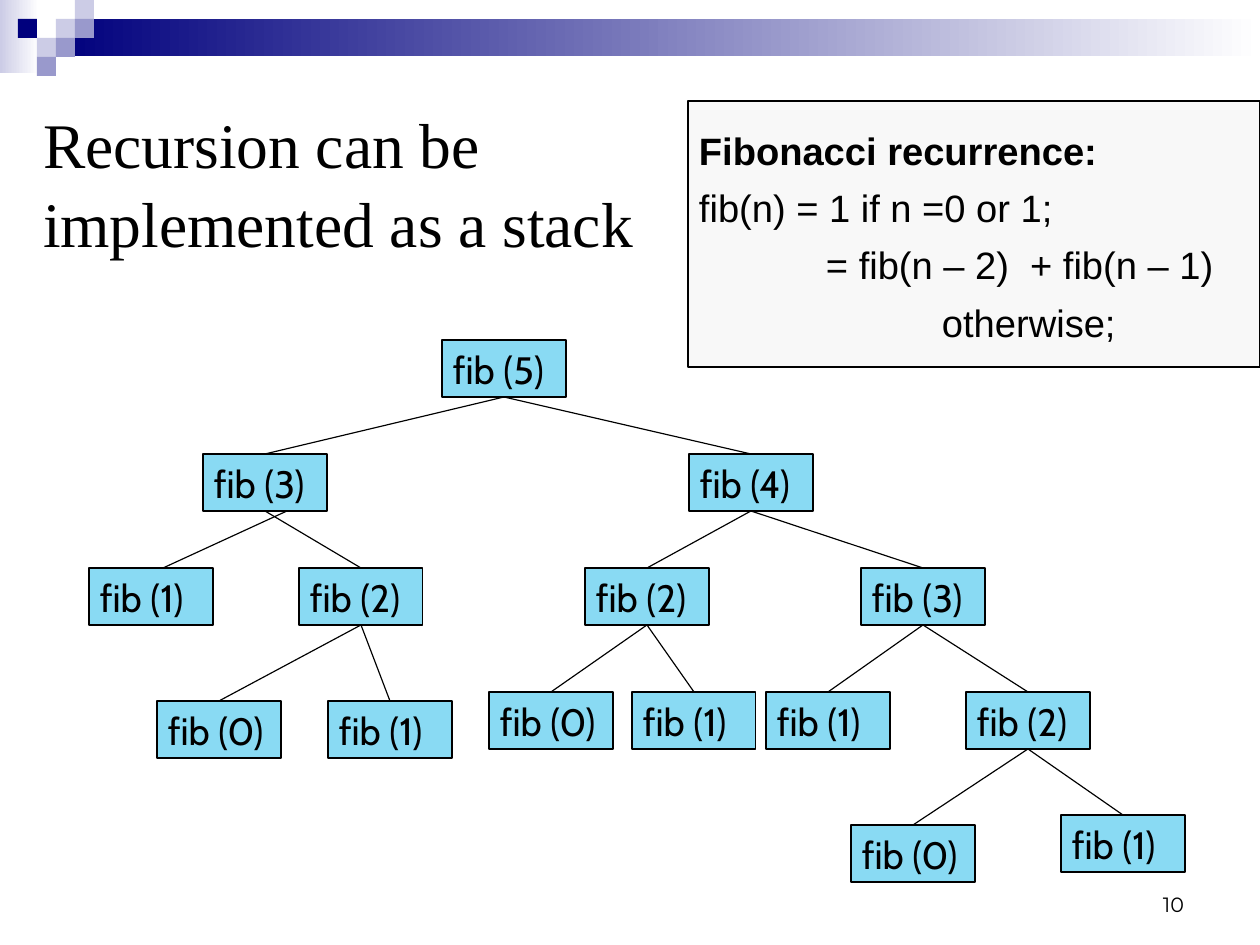
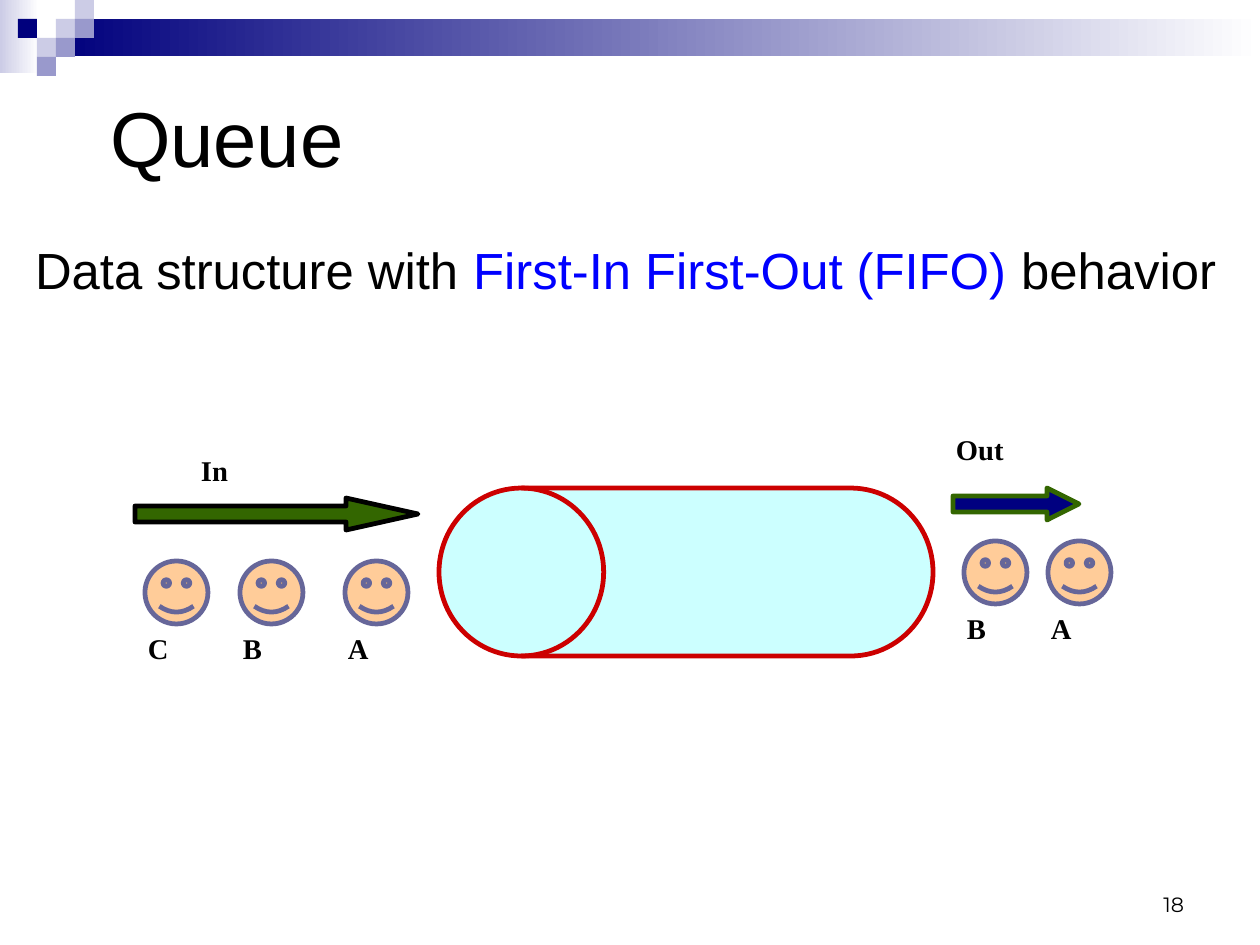
from lxml import etree
from pptx import Presentation
from pptx.dml.color import RGBColor
from pptx.enum.shapes import MSO_CONNECTOR, MSO_SHAPE
from pptx.enum.text import MSO_ANCHOR, MSO_AUTO_SIZE, PP_ALIGN
from pptx.oxml.ns import qn
from pptx.util import Pt

PX = 8000
RECTANGLE = MSO_SHAPE.RECTANGLE
DRUM = MSO_SHAPE.FLOWCHART_DIRECT_ACCESS_STORAGE
FACE = MSO_SHAPE.SMILEY_FACE
ARROW = MSO_SHAPE.RIGHT_ARROW
STRAIGHT = MSO_CONNECTOR.STRAIGHT
LEFT, RIGHT = PP_ALIGN.LEFT, PP_ALIGN.RIGHT
TOP, MIDDLE, BOTTOM = MSO_ANCHOR.TOP, MSO_ANCHOR.MIDDLE, MSO_ANCHOR.BOTTOM
NO_FIT = MSO_AUTO_SIZE.NONE

BLACK = RGBColor(0x00, 0x00, 0x00)
WHITE = RGBColor(0xFF, 0xFF, 0xFF)
NAVY = RGBColor(0x00, 0x00, 0x7D)
LILAC = RGBColor(0xCC, 0xCC, 0xE6)
VIOLET = RGBColor(0x99, 0x99, 0xCC)
NODE_BLUE = RGBColor(0x89, 0xDA, 0xF3)
PANEL_GREY = RGBColor(0xF8, 0xF8, 0xF8)
ACCENT_BLUE = RGBColor(0x00, 0x00, 0xFF)
PALE_CYAN = RGBColor(0xCC, 0xFF, 0xFF)
RED = RGBColor(0xCC, 0x00, 0x00)
PEACH = RGBColor(0xFF, 0xCC, 0x99)
SLATE = RGBColor(0x66, 0x66, 0x99)
GREEN = RGBColor(0x33, 0x66, 0x00)
DEEP_BLUE = RGBColor(0x00, 0x00, 0x80)

SLIDE_SIZE = (1260, 945)
NUMBER_BOX = (903, 861, 294, 63)
INSETS = (13, 7, 13, 7)
NO_INSETS = (0, 0, 0, 0)

BANDS = [((0, 0, 39, 73), [LILAC, WHITE]), ((57, 19, 1203, 37), [NAVY, WHITE])]
CELL = 19
CHECKER_LEFT = 18
CHECKER = [
    (2, 1, LILAC), (3, 0, LILAC), (3, 1, VIOLET), (1, 2, LILAC),
    (0, 1, NAVY), (2, 2, VIOLET), (1, 3, VIOLET),
]

NODE_SIZE = (124, 57)
CALLS = {
    "root": (5, 442, 340, None),
    "left": (3, 203, 454, "root"),
    "right": (4, 689, 454, "root"),
    "left 1": (1, 89, 568, "left"),
    "left 2": (2, 299, 568, "left"),
    "left 2-0": (0, 157, 701, "left 2"),
    "left 2-1": (1, 328, 701, "left 2"),
    "right 2": (2, 585, 568, "right"),
    "right 3": (3, 861, 568, "right"),
    "right 2-0": (0, 489, 692, "right 2"),
    "right 2-1": (1, 632, 692, "right 2"),
    "right 3-1": (1, 766, 692, "right 3"),
    "right 3-2": (2, 966, 692, "right 3"),
    "right 3-2-0": (0, 851, 825, "right 3-2"),
    "right 3-2-1": (1, 1061, 815, "right 3-2"),
}
EDGE_SHIFTS = {"left 1": (22, 12)}

RECURRENCE_BOX = (688, 101, 572, 266)
RECURRENCE = [
    ("Fibonacci recurrence:", True, 0),
    ("fib(n) = 1 if n =0 or 1;", False, 0),
    ("= fib(n – 2)  + fib(n – 1)", False, 127),
    ("otherwise;", False, 243),
]

DEFINITION = [
    ("Data structure with ", BLACK),
    ("First-In First-Out (FIFO)", ACCENT_BLUE),
    (" behavior", BLACK),
]
PIPE = (439, 488, 494, 168)
ARROWS = [
    ("In", (188, 446), (135, 498, 283, 32), 2.25, GREEN, BLACK),
    ("Out", (943, 425), (953, 488, 126, 32), 1, DEEP_BLUE, GREEN),
]
FACE_SIZE = 63
PEOPLE = [
    ("C", 145, 561), ("B", 240, 561), ("A", 345, 561),
    ("B", 964, 541), ("A", 1048, 541),
]


def to_emu(lengths):
    return [length * PX for length in lengths]


def set_values(target, **values):
    for name, value in values.items():
        setattr(target, name, value)


def set_frame(shape, insets=INSETS, anchor=TOP):
    left, top, right, bottom = to_emu(insets)
    set_values(
        shape.text_frame, margin_left=left, margin_top=top, margin_right=right,
        margin_bottom=bottom, vertical_anchor=anchor, word_wrap=True, auto_size=NO_FIT,
    )
    return shape.text_frame


def write(paragraph, text, font, size, color=BLACK, bold=False, align=LEFT):
    run = paragraph.add_run()
    run.text = text
    set_values(run.font, name=font, size=Pt(size), bold=bold)
    run.font.color.rgb = color
    paragraph.alignment = align


def add_shape(slide, kind, box, fill, line=None, width=0.75):
    shape = slide.shapes.add_shape(kind, *to_emu(box))
    shape.shadow.inherit = False
    if isinstance(fill, list):
        shape.fill.gradient()
        shape.fill.gradient_angle = 0
        for stop, color in zip(shape.fill.gradient_stops, fill):
            stop.color.rgb = color
    else:
        shape.fill.solid()
        shape.fill.fore_color.rgb = fill
    if line is None:
        shape.line.fill.background()
    else:
        shape.line.color.rgb = line
        shape.line.width = Pt(width)
    return shape


def add_text(slide, box, runs, font, size, bold=False, align=LEFT, insets=INSETS, anchor=TOP):
    frame = set_frame(slide.shapes.add_textbox(*to_emu(box)), insets, anchor)
    for text, color in runs:
        write(frame.paragraphs[0], text, font, size, color, bold, align)


def add_slide(presentation, title, box, font, size, anchor, number):
    slide = presentation.slides.add_slide(presentation.slide_layouts[5])
    left, top, width, height = to_emu(box)
    set_values(slide.shapes.title, left=left, top=top, width=width, height=height)
    paragraph = set_frame(slide.shapes.title, anchor=anchor).paragraphs[0]
    write(paragraph, title, font, size)
    paragraph.line_spacing = 1.04
    add_text(slide, NUMBER_BOX, [(number, BLACK)], "Montserrat", 13, align=RIGHT, anchor=BOTTOM)
    return slide


def decorate_master(presentation, slide):
    squares = [
        ((CHECKER_LEFT + column * CELL, row * CELL, CELL, CELL), color)
        for column, row, color in CHECKER
    ]
    tree = presentation.slide_master.shapes.element
    for shape_id, (box, fill) in enumerate(BANDS + squares, 100):
        element = add_shape(slide, RECTANGLE, box, fill).element
        element.nvSpPr.cNvPr.set("id", str(shape_id))
        tree.append(element)


def add_edge(slide, parent, child, shifts):
    start_shift, end_shift = to_emu(shifts)
    connector = slide.shapes.add_connector(
        STRAIGHT,
        parent.left + parent.width // 2 + start_shift, parent.top + parent.height,
        child.left + child.width // 2 + end_shift, child.top,
    )
    if not any(shifts):
        connector.begin_connect(parent, 2)
        connector.end_connect(child, 0)
    connector.line.color.rgb = BLACK
    connector.line.width = Pt(0.75)
    etree.SubElement(connector.element.spPr, qn("a:effectLst"))


def build_recursion(slide):
    nodes = {}
    for name, (value, left, top, parent) in CALLS.items():
        node = add_shape(slide, RECTANGLE, (left, top, *NODE_SIZE), NODE_BLUE, BLACK)
        frame = set_frame(node, (11, 6, 0, 6))
        write(frame.paragraphs[0], f"fib ({value})", "Cabin", 24)
        nodes[name] = node
        if parent:
            add_edge(slide, nodes[parent], node, EDGE_SHIFTS.get(name, (0, 0)))

    panel = add_shape(slide, RECTANGLE, RECURRENCE_BOX, PANEL_GREY, BLACK, 1)
    frame = set_frame(panel, (11, 4, 0, 0), MIDDLE)
    for index, (text, bold, indent) in enumerate(RECURRENCE):
        paragraph = frame.add_paragraph() if index else frame.paragraphs[0]
        write(paragraph, text, "Arial", 24, bold=bold)
        paragraph.space_before = Pt(7.4 if index else 0)
        panel.element.txBody.p_lst[index].get_or_add_pPr().set("marL", str(indent * PX))


def add_label(slide, text, left, top):
    add_text(slide, (left, top, 115, 47), [(text, BLACK)], "Times New Roman", 18, bold=True)


def build_queue(slide):
    add_text(slide, (35, 239, 1220, 61), DEFINITION, "Arial", 32, insets=NO_INSETS)
    add_shape(slide, DRUM, PIPE, PALE_CYAN, RED, 3).rotation = 180
    for label, position, box, head, fill, line in ARROWS:
        arrow = add_shape(slide, ARROW, box, fill, line, 3)
        arrow.adjustments[1] = head
        add_label(slide, label, *position)
    for label, left, top in PEOPLE:
        add_shape(slide, FACE, (left, top, FACE_SIZE, FACE_SIZE), PEACH, SLATE, 3)
        add_label(slide, label, left - 10, top + FACE_SIZE)


def main():
    presentation = Presentation()
    width, height = to_emu(SLIDE_SIZE)
    set_values(presentation, slide_width=width, slide_height=height)
    recursion = add_slide(
        presentation, "Recursion can be implemented as a stack",
        (30, 95, 629, 165), "Times New Roman", 40, TOP, "10",
    )
    decorate_master(presentation, recursion)
    build_recursion(recursion)
    queue = add_slide(presentation, "Queue", (97, 40, 1134, 189), "Arial", 49, MIDDLE, "18")
    build_queue(queue)
    presentation.save("out.pptx")


if __name__ == "__main__":
    main()
